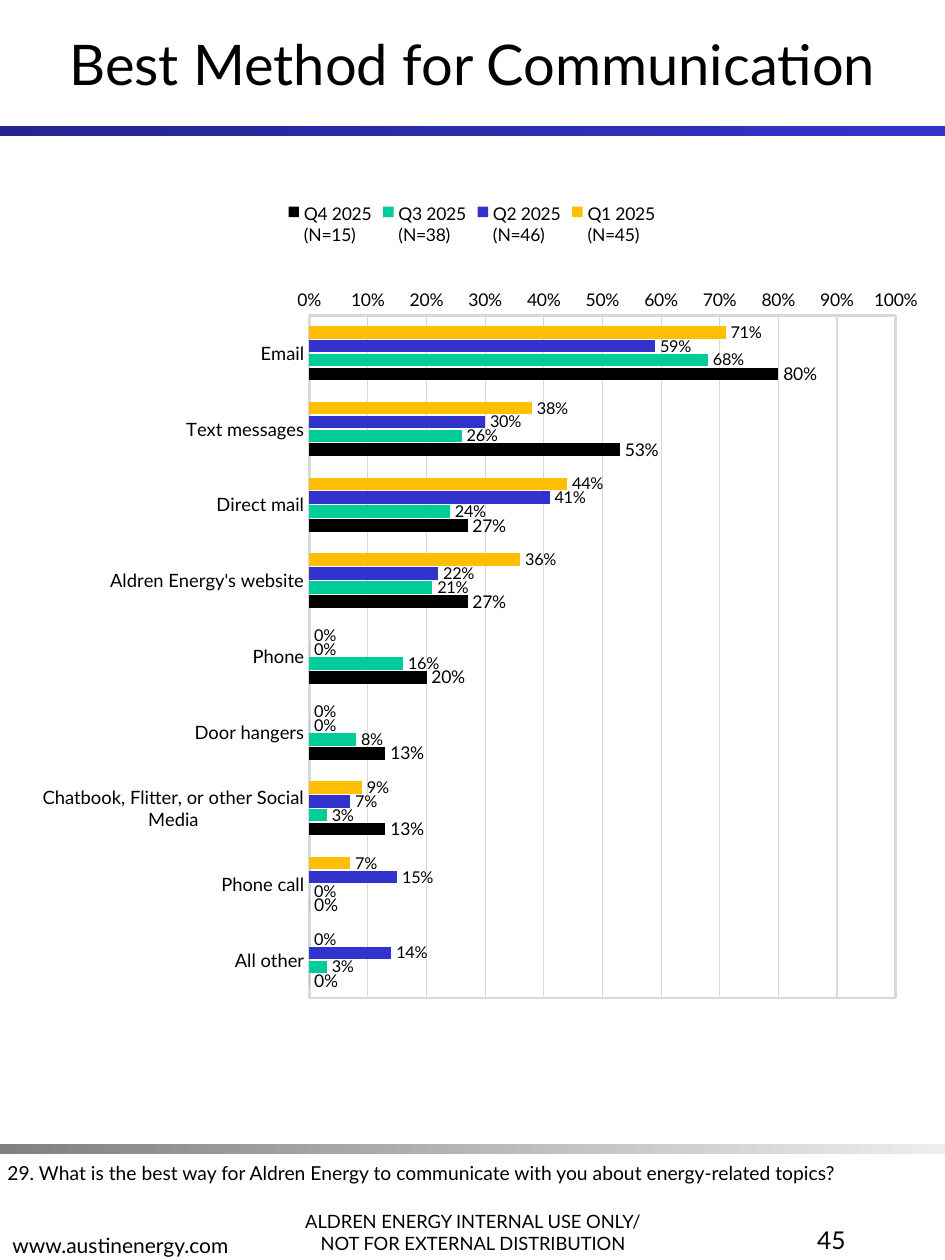
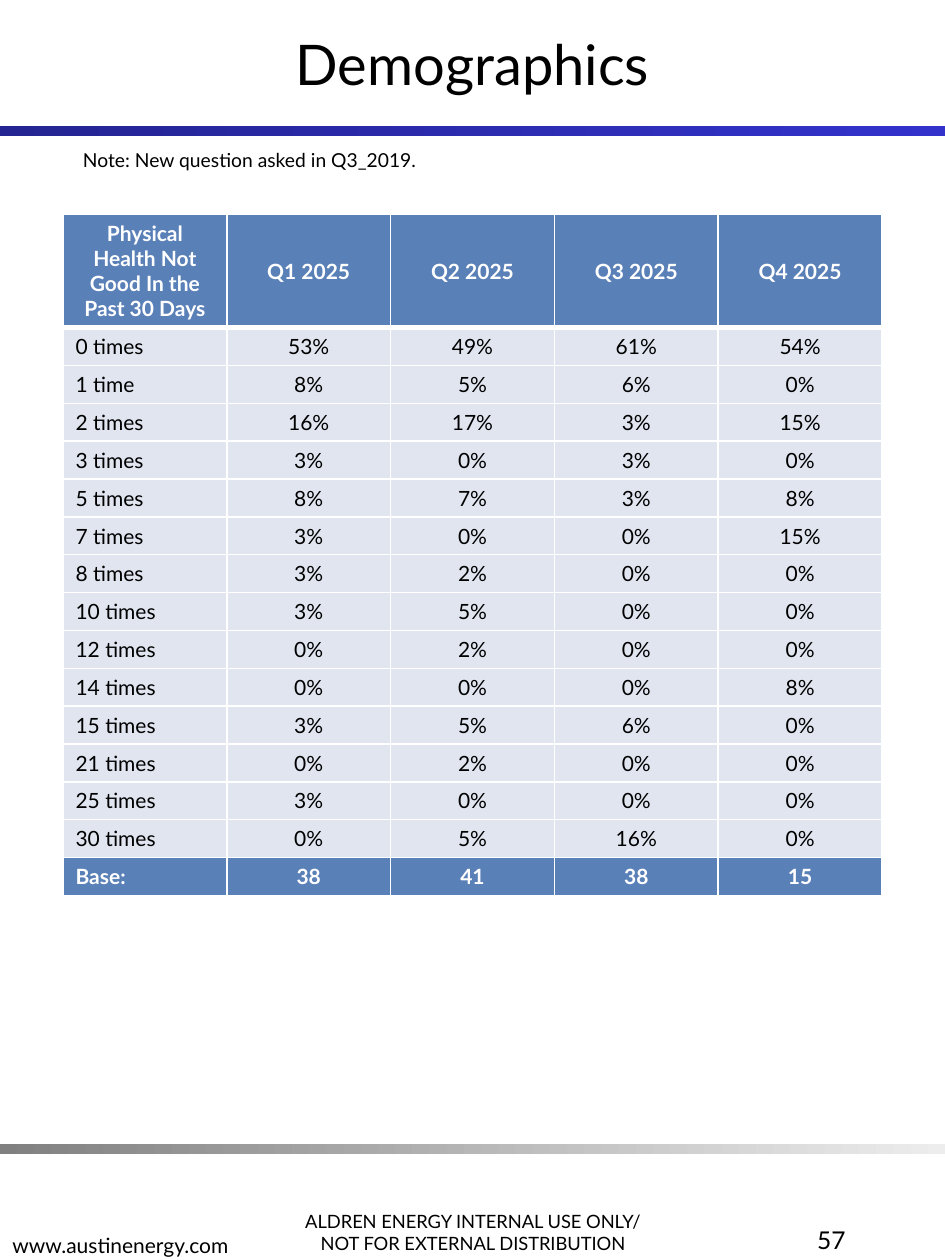
"""Build two survey slides: a communication bar chart and a health table."""
from lxml.etree import SubElement
from pptx import Presentation
from pptx.chart.data import CategoryChartData
from pptx.dml.color import RGBColor
from pptx.enum.chart import (XL_AXIS_CROSSES, XL_CHART_TYPE, XL_LABEL_POSITION,
                             XL_LEGEND_POSITION, XL_TICK_MARK)
from pptx.enum.shapes import MSO_SHAPE
from pptx.enum.text import MSO_ANCHOR, PP_ALIGN
from pptx.oxml import parse_xml
from pptx.oxml.ns import nsdecls, qn
from pptx.util import Inches, Pt

FONT = "Lato"
COLORS = {
    "text": "000000", "white": "FFFFFF", "grid": "D9D9D9",
    "navy": "242492", "blue": "3333CC", "gray": "808080", "pale gray": "EDEDED",
    "table head": "5A80B8", "table body": "E0E5F0",
    "q1": "FFC003", "q2": "3233CC", "q3": "00CC99", "q4": "000000",
}


def rgb(name):
    return RGBColor.from_string(COLORS[name])


def write(frame, text, size, color="text", bold=False, align=PP_ALIGN.LEFT,
          anchor=MSO_ANCHOR.TOP):
    frame.word_wrap = True
    frame.vertical_anchor = anchor
    for number, line in enumerate(text.split("\n")):
        para = frame.paragraphs[0] if number == 0 else frame.add_paragraph()
        para.alignment = align
        span = para.add_run()
        span.text = line
        span.font.name = FONT
        span.font.size = Pt(size)
        span.font.bold = bold
        span.font.color.rgb = rgb(color)


deck = Presentation()
deck.slide_width = Inches(7.5)
deck.slide_height = Inches(10)
layout = deck.slide_layouts[5]
for holder in list(layout.placeholders)[1:]:
    holder.element.getparent().remove(holder.element)

chart_page = deck.slides.add_slide(layout)
table_page = deck.slides.add_slide(layout)

bands = [(1, "navy", "blue"), (9.08, "gray", "pale gray")]
for top, start, end in bands:
    band = chart_page.shapes.add_shape(
        MSO_SHAPE.RECTANGLE, 0, Inches(top), Inches(7.5), Inches(0.08))
    band.shadow.inherit = False
    band.line.fill.background()
    band.fill.gradient()
    band.fill.gradient_angle = 0
    for stop, color, position in zip(band.fill.gradient_stops, (start, end), (0, 1)):
        stop.color.rgb = rgb(color)
        stop.position = position
    layout.shapes.element.append(band.element)

footers = [
    (2.16, 9.33, "ALDREN ENERGY INTERNAL USE ONLY/\nNOT FOR EXTERNAL DISTRIBUTION",
     10.5, PP_ALIGN.CENTER),
    (0, 9.36, "www.austinenergy.com", 12, PP_ALIGN.LEFT),
]
for left, top, text, size, align in footers:
    box = chart_page.shapes.add_textbox(Inches(left), Inches(top), Inches(3.19), Inches(0.67))
    write(box.text_frame, text, size, align=align, anchor=MSO_ANCHOR.BOTTOM)
    layout.shapes.element.append(box.element)

pages = [
    (chart_page, "Best Method for Communication", "45", -0.04, 9.17, 6.85,
     "29. What is the best way for Aldren Energy to communicate with you "
     "about energy-related topics?"),
    (table_page, "Demographics", "57", 0.56, 1.13, 6.44,
     "Note: New question asked in Q3_2019."),
]
for page, heading, number, left, top, width, note in pages:
    title = page.shapes.title
    title.left, title.top = Inches(0), Inches(0)
    title.width, title.height = Inches(7.5), Inches(1)
    write(title.text_frame, heading, 32, align=PP_ALIGN.CENTER, anchor=MSO_ANCHOR.MIDDLE)
    box = page.shapes.add_textbox(Inches(5.25), Inches(9.67), Inches(1.56), Inches(0.67))
    write(box.text_frame, number, 14, align=PP_ALIGN.RIGHT)
    box = page.shapes.add_textbox(Inches(left), Inches(top), Inches(width), Inches(0.29))
    write(box.text_frame, note, 11)

methods = CategoryChartData(number_format="0%")
methods.categories = [
    "Email", "Text messages", "Direct mail", "Aldren Energy's website", "Phone",
    "Door hangers", "Chatbook, Flitter, or other Social Media", "Phone call", "All other",
]
quarters = [
    ("Q1 2025\n(N=45)", "q1", 9.3, [0.71, 0.38, 0.44, 0.36, 0, 0, 0.09, 0.07, 0]),
    ("Q2 2025\n(N=46)", "q2", 9.3, [0.59, 0.3, 0.41, 0.22, 0, 0, 0.07, 0.15, 0.14]),
    ("Q3 2025\n(N=38)", "q3", 9.3, [0.68, 0.26, 0.24, 0.21, 0.16, 0.08, 0.03, 0, 0.03]),
    ("Q4 2025\n(N=15)", "q4", 10, [0.8, 0.53, 0.27, 0.27, 0.2, 0.13, 0.13, 0, 0]),
]
for name, color, size, values in quarters:
    methods.add_series(name, values)
chart = chart_page.shapes.add_chart(
    XL_CHART_TYPE.BAR_CLUSTERED, Inches(0.12), Inches(1.5), Inches(7.25), Inches(6.86),
    methods).chart
chart.has_title = False
chart.font.name = FONT
chart.font.size = Pt(10)
chart.font.color.rgb = rgb("text")
chart.has_legend = True
chart.legend.position = XL_LEGEND_POSITION.TOP
chart.legend.include_in_layout = False
chart.legend.font.name = FONT
chart.legend.font.size = Pt(10)
chart.legend.font.color.rgb = rgb("text")

axes = [(chart.category_axis, 10.5, 0.63), (chart.value_axis, 10, 0.42)]
for axis, size, weight in axes:
    axis.major_tick_mark = XL_TICK_MARK.NONE
    axis.minor_tick_mark = XL_TICK_MARK.NONE
    axis.tick_labels.font.name = FONT
    axis.tick_labels.font.size = Pt(size)
    axis.tick_labels.font.color.rgb = rgb("text")
    axis.format.line.color.rgb = rgb("grid")
    axis.format.line.width = Pt(weight)
chart.category_axis.reverse_order = True
chart.category_axis.crosses = XL_AXIS_CROSSES.MAXIMUM
chart.value_axis.minimum_scale = 0
chart.value_axis.maximum_scale = 1
chart.value_axis.major_unit = 0.1
chart.value_axis.tick_labels.number_format = "0%"
chart.value_axis.tick_labels.number_format_is_linked = False
gridlines = chart.value_axis.major_gridlines.format.line
gridlines.color.rgb = rgb("grid")
gridlines.width = Pt(0.63)

plot = chart.plots[0]
plot.gap_width = 170
plot.overlap = -10
plot.vary_by_categories = False
for series, (name, color, size, values) in zip(plot.series, quarters):
    series.format.fill.solid()
    series.format.fill.fore_color.rgb = rgb(color)
    labels = series.data_labels
    labels.show_value = True
    labels.position = XL_LABEL_POSITION.OUTSIDE_END
    labels.number_format = "0%"
    labels.number_format_is_linked = False
    labels.font.name = FONT
    labels.font.size = Pt(size)
    labels.font.color.rgb = rgb("text")

plot_area = chart.element.find(".//" + qn("c:plotArea"))
for old in plot_area.findall(qn("c:layout")):
    plot_area.remove(old)
placement = parse_xml(
    f'<c:layout {nsdecls("c")}><c:manualLayout><c:layoutTarget val="inner"/>'
    '<c:xMode val="edge"/><c:yMode val="edge"/><c:x val="0.322"/><c:y val="0.146"/>'
    '<c:w val="0.642"/><c:h val="0.79"/></c:manualLayout></c:layout>')
plot_area.insert(0, placement)
plot_area.append(parse_xml(
    f'<c:spPr {nsdecls("c", "a")}><a:noFill/><a:ln w="19050"><a:solidFill>'
    f'<a:srgbClr val="{COLORS["grid"]}"/></a:solidFill></a:ln></c:spPr>'))

rows = [
    ("Physical Health Not Good In the Past 30 Days",
     "Q1 2025", "Q2 2025", "Q3 2025", "Q4 2025"),
    ("0 times", "53%", "49%", "61%", "54%"),
    ("1 time", "8%", "5%", "6%", "0%"),
    ("2 times", "16%", "17%", "3%", "15%"),
    ("3 times", "3%", "0%", "3%", "0%"),
    ("5 times", "8%", "7%", "3%", "8%"),
    ("7 times", "3%", "0%", "0%", "15%"),
    ("8 times", "3%", "2%", "0%", "0%"),
    ("10 times", "3%", "5%", "0%", "0%"),
    ("12 times", "0%", "2%", "0%", "0%"),
    ("14 times", "0%", "0%", "0%", "8%"),
    ("15 times", "3%", "5%", "6%", "0%"),
    ("21 times", "0%", "2%", "0%", "0%"),
    ("25 times", "3%", "0%", "0%", "0%"),
    ("30 times", "0%", "5%", "16%", "0%"),
    ("Base:", "38", "41", "38", "15"),
]
table = table_page.shapes.add_table(
    len(rows), 5, Inches(0.5), Inches(1.7), Inches(6.5), Inches(2.5)).table
for row_index, row in enumerate(rows):
    table.rows[row_index].height = Inches(0.16)
    strong = row_index in (0, len(rows) - 1)
    for column, text in enumerate(row):
        cell = table.cell(row_index, column)
        centered = row_index == 0 or column > 0
        write(cell.text_frame, text, 12, color="white" if strong else "text", bold=strong,
              align=PP_ALIGN.CENTER if centered else PP_ALIGN.LEFT)
        cell.vertical_anchor = MSO_ANCHOR.MIDDLE
        properties = cell._tc.get_or_add_tcPr()
        for side in ("L", "R", "T", "B"):
            thick = (row_index, side) in ((0, "B"), (1, "T"))
            border = SubElement(properties, qn(f"a:ln{side}"), w=str(Pt(3 if thick else 1)))
            fill = SubElement(border, qn("a:solidFill"))
            SubElement(fill, qn("a:srgbClr"), val=COLORS["white"])
        cell.fill.solid()
        cell.fill.fore_color.rgb = rgb("table head" if strong else "table body")

deck.save("out.pptx")
